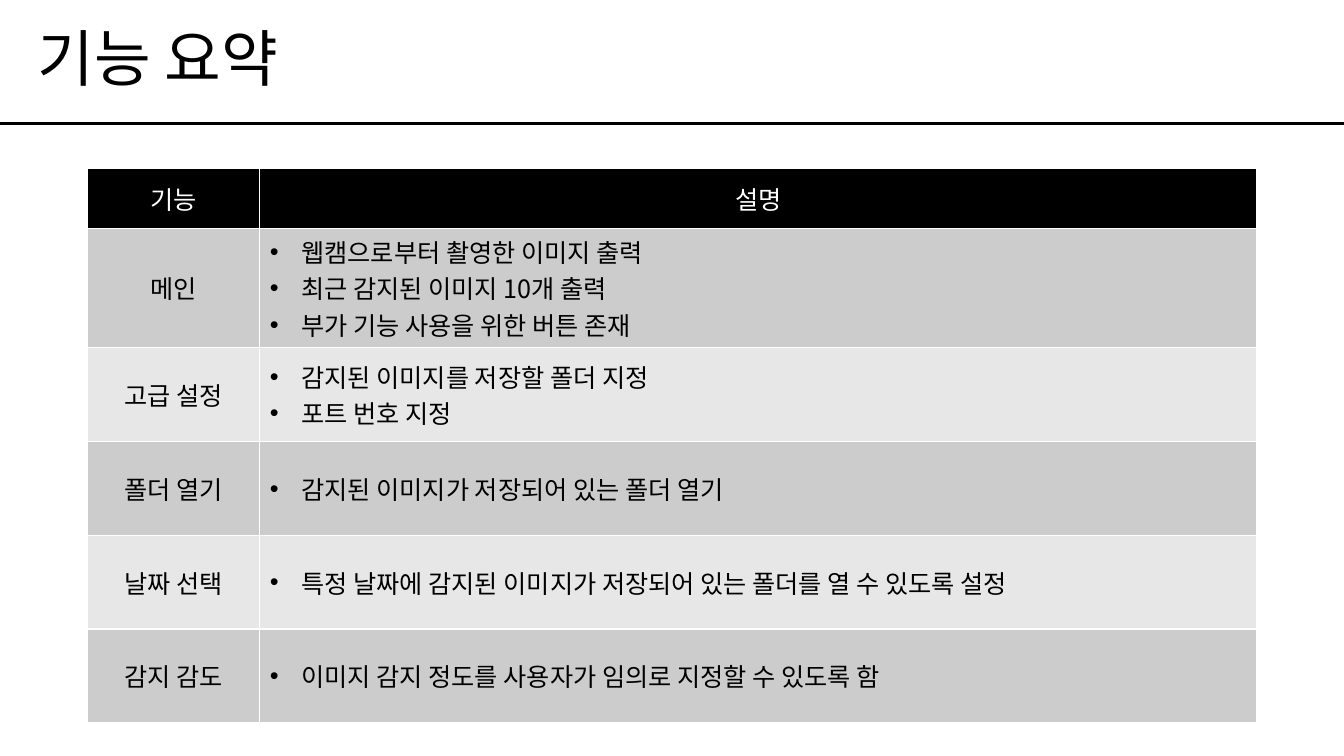
from lxml import etree
from pptx import Presentation
from pptx.dml.color import RGBColor
from pptx.enum.shapes import MSO_CONNECTOR
from pptx.enum.text import MSO_ANCHOR, PP_ALIGN
from pptx.oxml.ns import qn
from pptx.util import Pt

LINE = MSO_CONNECTOR.STRAIGHT
MIDDLE = MSO_ANCHOR.MIDDLE
LEFT, CENTER = PP_ALIGN.LEFT, PP_ALIGN.CENTER

BLACK = RGBColor(0x00, 0x00, 0x00)
WHITE = RGBColor(0xFF, 0xFF, 0xFF)
DARK = RGBColor(0xCC, 0xCC, 0xCC)
LIGHT = RGBColor(0xE7, 0xE7, 0xE7)
FONT = "Noto Sans CJK KR"

WIDTH, HEAD = 960, 88.5
INDENT = 22.5
ROWS = [
    ("기능", ["설명"]),
    ("메인", ["웹캠으로부터 촬영한 이미지 출력",
            "최근 감지된 이미지 10개 출력",
            "부가 기능 사용을 위한 버튼 존재"]),
    ("고급 설정", ["감지된 이미지를 저장할 폴더 지정", "포트 번호 지정"]),
    ("폴더 열기", ["감지된 이미지가 저장되어 있는 폴더 열기"]),
    ("날짜 선택", ["특정 날짜에 감지된 이미지가 저장되어 있는 폴더를 열 수 있도록 설정"]),
    ("감지 감도", ["이미지 감지 정도를 사용자가 임의로 지정할 수 있도록 함"]),
]


def style(para, size, color, align):
    """Set the font, for Latin and Korean text alike, and the alignment."""
    para.alignment = align
    font = para.font
    font.size, font.bold, font.name = Pt(size), False, FONT
    font.color.rgb = color
    props = para._p.pPr.find(qn("a:defRPr"))
    etree.SubElement(props, qn("a:ea"), typeface=FONT)


def bullet(para):
    props = para._p.pPr
    props.set("marL", str(Pt(INDENT)))
    props.set("indent", str(Pt(-INDENT)))
    mark = etree.Element(qn("a:buFont"), typeface="Arial")
    props.insert(0, mark)
    mark.addnext(etree.Element(qn("a:buChar"), char="•"))


deck = Presentation()
deck.slide_width, deck.slide_height = Pt(WIDTH), Pt(540)
slide = deck.slides.add_slide(deck.slide_layouts[5])

title = slide.shapes.title
title.left, title.top = Pt(0), Pt(0)
title.width, title.height = Pt(WIDTH), Pt(HEAD)
frame = title.text_frame
frame.text = "기능 요약"
frame.vertical_anchor = MIDDLE
frame.margin_left = Pt(27)
frame.paragraphs[0].line_spacing = 0.9
style(frame.paragraphs[0], 44, BLACK, LEFT)

rule = slide.shapes.add_connector(LINE, Pt(0), Pt(HEAD), Pt(WIDTH), Pt(HEAD))
rule.line.color.rgb = BLACK
rule.line.width = Pt(2.25)
etree.SubElement(rule._element.spPr, qn("a:effectLst"))

# The default table style draws the white cell borders
table = slide.shapes.add_table(
    len(ROWS), 2, Pt(62.8), Pt(120.5), Pt(835), Pt(378)).table
table.columns[0].width, table.columns[1].width = Pt(122.8), Pt(712.2)

for r, (name, notes) in enumerate(ROWS):
    table.rows[r].height = Pt(67 if r else 42.5)
    fill = (DARK if r % 2 else LIGHT) if r else BLACK
    for c, lines in enumerate(([name], notes)):
        cell = table.cell(r, c)
        cell.fill.solid()
        cell.fill.fore_color.rgb = fill
        cell.vertical_anchor = MIDDLE
        cell.text = "\n".join(lines)
        listed = r > 0 and c == 1
        for para in cell.text_frame.paragraphs:
            style(para, 18, BLACK if r else WHITE, LEFT if listed else CENTER)
            if listed:
                bullet(para)

deck.save("out.pptx")
